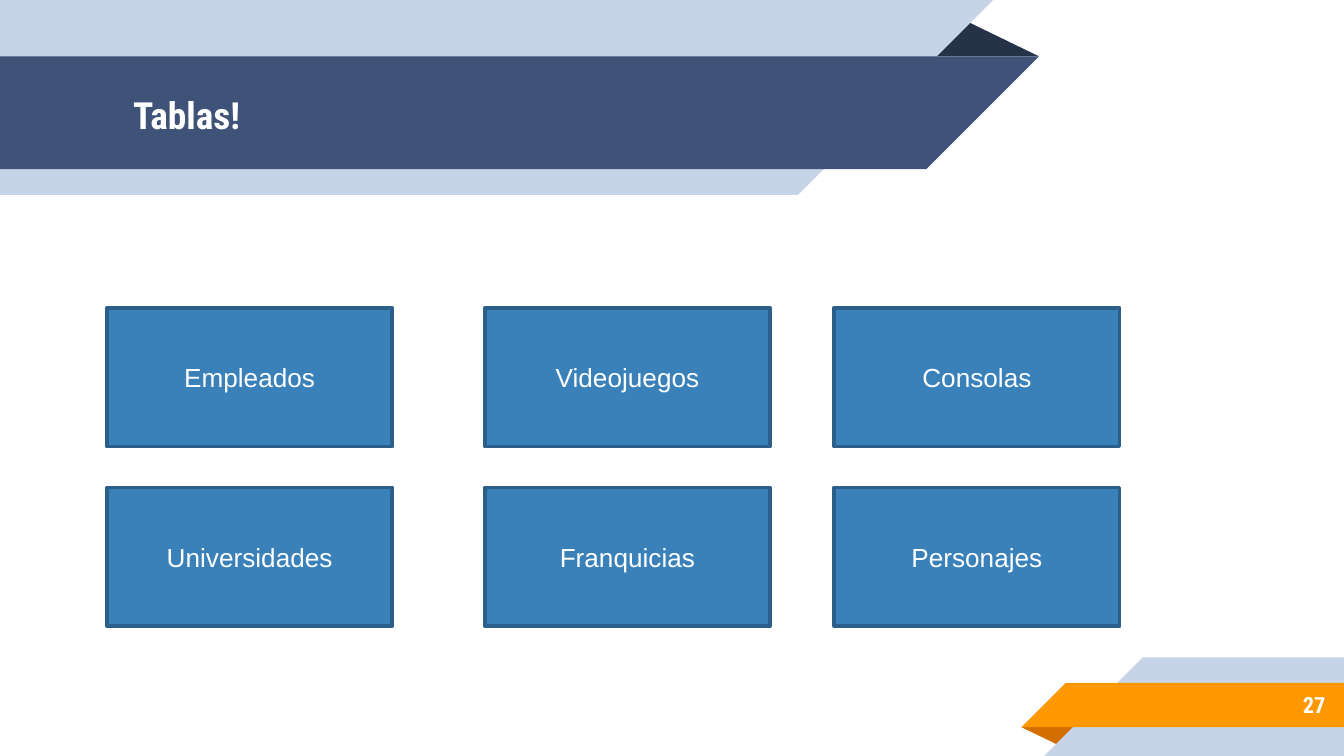
from pptx import Presentation
from pptx.dml.color import RGBColor
from pptx.enum.shapes import MSO_SHAPE
from pptx.enum.text import MSO_ANCHOR, MSO_AUTO_SIZE, PP_ALIGN
from pptx.util import Pt

WHITE = RGBColor(0xFF, 0xFF, 0xFF)
PALE = RGBColor(0xC7, 0xD3, 0xE6)
NAVY = RGBColor(0x3F, 0x53, 0x78)
DARK_NAVY = RGBColor(0x26, 0x32, 0x48)
ORANGE = RGBColor(0xFF, 0x98, 0x00)
DARK_ORANGE = RGBColor(0xD2, 0x6F, 0x00)
BLUE = RGBColor(0x3A, 0x81, 0xBA)
DARK_BLUE = RGBColor(0x2B, 0x5F, 0x8A)

# Content
TITLE = "Tablas!"
PAGE_NUMBER = "27"
TABLE_NAMES = [
    ["Empleados", "Videojuegos", "Consolas"],
    ["Universidades", "Franquicias", "Personajes"],
]

# Layout, in points
WIDTH, HEIGHT = 720, 405
COLUMN_LEFTS = [57.4, 259.8, 447]
FIRST_ROW_TOP, ROW_STEP = 164.9, 96.3
BOX_WIDTH, BOX_HEIGHT = 152.8, 74.3


def left_band(top, bottom, tip):
    """Band from the left edge, with its right end cut at 45 degrees."""
    return [(0, top), (tip, top), (tip - (bottom - top), bottom), (0, bottom)]


def right_band(top, bottom, tip):
    """Band to the right edge, with its left end cut at 45 degrees."""
    return [(tip + (bottom - top), top), (WIDTH, top), (WIDTH, bottom), (tip, bottom)]


# Ribbon pieces from back to front
RIBBONS = [
    ([(495.4, 30.2), (515.2, 10.1), (556.6, 30.2)], DARK_NAVY),
    (left_band(0, 104.4, 532), PALE),
    (left_band(30.2, 90.6, 556.6), NAVY),
    ([(547.2, 389.6), (578.2, 389.6), (568.1, 399.7)], DARK_ORANGE),
    (right_band(352.2, HEIGHT, 559.4), PALE),
    (right_band(365.9, 389.6, 547.2), ORANGE),
]


def add_ribbon(slide, corners, color):
    points = [(Pt(x), Pt(y)) for x, y in corners]
    builder = slide.shapes.build_freeform(*points[0], scale=1.0)
    builder.add_line_segments(points[1:], close=True)
    ribbon = builder.convert_to_shape()
    ribbon.shadow.inherit = False
    ribbon.fill.solid()
    ribbon.fill.fore_color.rgb = color
    ribbon.line.fill.background()


def place(shape, left, top, width, height):
    shape.left, shape.top = Pt(left), Pt(top)
    shape.width, shape.height = Pt(width), Pt(height)


def write(shape, text, font_name, size, bold, align, inset=None):
    frame = shape.text_frame
    frame.text = text
    frame.word_wrap = True
    frame.auto_size = MSO_AUTO_SIZE.NONE
    frame.vertical_anchor = MSO_ANCHOR.MIDDLE
    if inset is not None:
        frame.margin_left = frame.margin_right = Pt(inset)
        frame.margin_top = frame.margin_bottom = Pt(inset)
    paragraph = frame.paragraphs[0]
    paragraph.alignment = align
    font = paragraph.runs[0].font
    font.name, font.size, font.bold = font_name, Pt(size), bold
    font.color.rgb = WHITE


def main():
    deck = Presentation()
    deck.slide_width, deck.slide_height = Pt(WIDTH), Pt(HEIGHT)
    slide = deck.slides.add_slide(deck.slide_layouts[5])

    # Ribbons
    for corners, color in RIBBONS:
        add_ribbon(slide, corners, color)

    # Title, brought in front of the ribbons
    title = slide.shapes.title
    slide.shapes._spTree.append(title._element)
    place(title, 64.1, 31, 432.7, 60.5)
    write(title, TITLE, "Roboto Condensed", 20, True, PP_ALIGN.LEFT, 7.2)

    # Page number
    page_number = slide.shapes.add_textbox(Pt(599.8), Pt(365), Pt(117.4), Pt(25.2))
    write(page_number, PAGE_NUMBER, "Roboto Condensed", 12, True, PP_ALIGN.RIGHT, 7.2)

    # Grid of table names
    for row, names in enumerate(TABLE_NAMES):
        top = FIRST_ROW_TOP + row * ROW_STEP
        for left, name in zip(COLUMN_LEFTS, names):
            box = slide.shapes.add_shape(
                MSO_SHAPE.RECTANGLE, Pt(left), Pt(top), Pt(BOX_WIDTH), Pt(BOX_HEIGHT))
            box.shadow.inherit = False
            box.fill.solid()
            box.fill.fore_color.rgb = BLUE
            box.line.color.rgb = DARK_BLUE
            box.line.width = Pt(2)
            write(box, name, "Arial", 14, False, PP_ALIGN.CENTER)

    deck.save("out.pptx")


if __name__ == "__main__":
    main()
